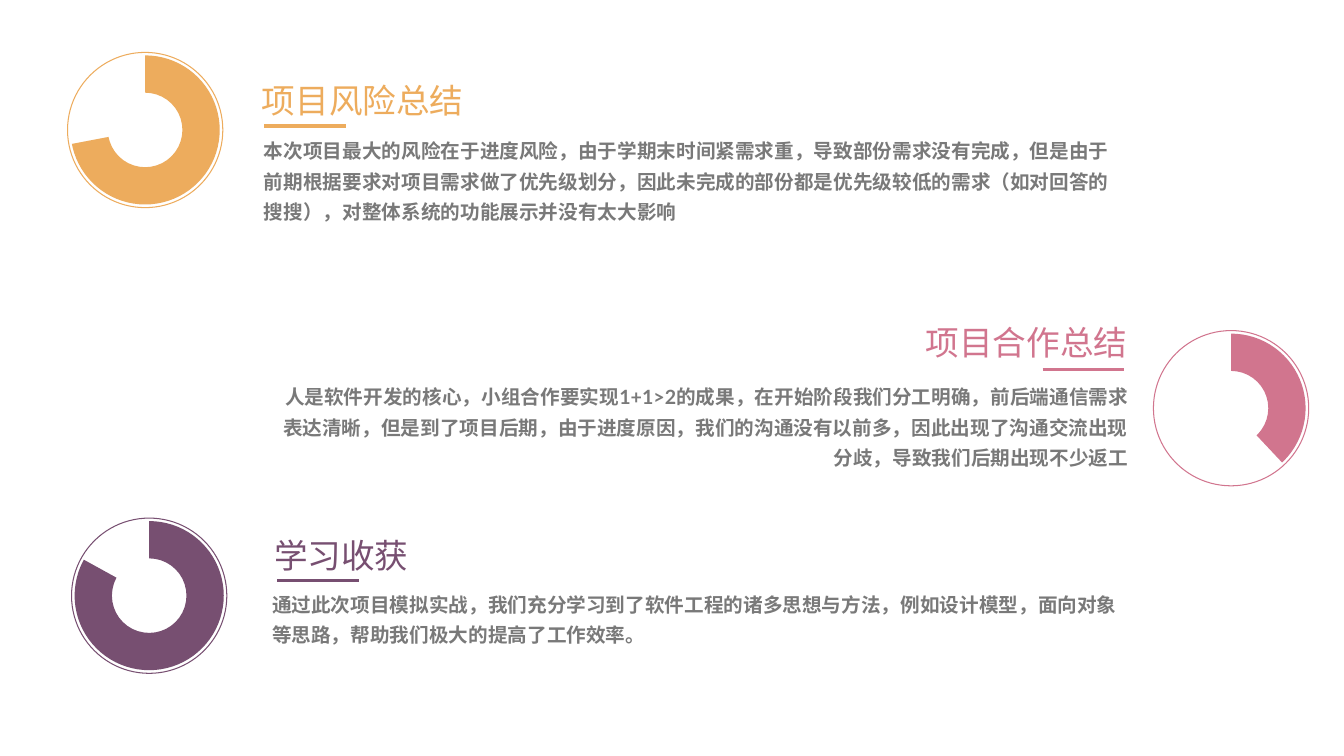
from lxml.etree import SubElement
from pptx import Presentation
from pptx.chart.data import CategoryChartData
from pptx.dml.color import RGBColor
from pptx.enum.chart import XL_CHART_TYPE
from pptx.enum.shapes import MSO_CONNECTOR, MSO_SHAPE
from pptx.enum.text import MSO_AUTO_SIZE, PP_ALIGN
from pptx.oxml import parse_xml
from pptx.oxml.ns import nsdecls, qn
from pptx.util import Inches, Pt

ORANGE = RGBColor(0xED, 0xAC, 0x5D)
PURPLE = RGBColor(0x77, 0x4F, 0x71)
PINK = RGBColor(0xD1, 0x75, 0x8E)
GREY = RGBColor(0x79, 0x79, 0x79)
PALE = RGBColor(0xF2, 0xF2, 0xF2)
LATIN, CHINESE = "Lato", "Noto Sans CJK SC"

CIRCLE = 1.54
RING = 1.48
CHART_WIDTH, CHART_HEIGHT = 2.62, 1.75
RULE_LENGTH = 0.81


def apply(target, values):
    for name, value in values.items():
        setattr(target, name, value)


class SummarySlide:
    heading_style = {"size": Pt(24), "name": CHINESE}
    body_style = {"size": Pt(14), "name": LATIN, "bold": True}

    def __init__(self, deck):
        self.shapes = deck.slides.add_slide(deck.slide_layouts[6]).shapes

    def text(self, box, wording, style, color, paragraph_style):
        frame = self.shapes.add_textbox(*map(Inches, box)).text_frame
        apply(frame, {"word_wrap": True, "auto_size": MSO_AUTO_SIZE.SHAPE_TO_FIT_TEXT})
        paragraph = frame.paragraphs[0]
        apply(paragraph, paragraph_style)
        run = paragraph.add_run()
        run.text = wording
        apply(run.font, style)
        run.font.color.rgb = color
        east_asian = SubElement(run.font._element, qn("a:ea"))
        east_asian.set("typeface", CHINESE)

    def ring(self, left, top, percent, color):
        values = CategoryChartData()
        values.categories = ["1", "2"]
        values.add_series("Series 1", (percent, 100 - percent))
        box = (left - (CHART_WIDTH - CIRCLE) / 2, top - (CHART_HEIGHT - CIRCLE) / 2,
               CHART_WIDTH, CHART_HEIGHT)
        chart = self.shapes.add_chart(
            XL_CHART_TYPE.DOUGHNUT, *map(Inches, box), values).chart
        apply(chart, {"has_legend": False, "has_title": False})
        apply(chart.font, {"size": Pt(10), "name": LATIN})
        chart.font.color.rgb = PALE
        plot = chart.plots[0]
        apply(plot, {"vary_by_categories": False, "has_data_labels": False})
        done, remaining = (plot.series[0].points[i].format for i in range(2))
        done.fill.solid()
        done.fill.fore_color.rgb = color
        remaining.fill.background()
        for part in (done, remaining):
            part.line.fill.background()
        plot._element.find(qn("c:holeSize")).set("val", "80")
        self.center_ring(chart)

    def center_ring(self, chart):
        width, height = RING / CHART_WIDTH, RING / CHART_HEIGHT
        places = {"x": (1 - width) / 2, "y": (1 - height) / 2, "w": width, "h": height}
        sizes = "".join(f'<c:{key} val="{value:.4f}"/>' for key, value in places.items())
        layout = parse_xml(
            f'<c:layout {nsdecls("c")}><c:manualLayout><c:layoutTarget val="inner"/>'
            f'<c:xMode val="edge"/><c:yMode val="edge"/>{sizes}'
            "</c:manualLayout></c:layout>")
        area = chart._chartSpace.chart.plotArea
        for automatic in area.findall(qn("c:layout")):
            area.remove(automatic)
        area.insert(0, layout)

    def circle(self, left, top, color):
        outline = self.shapes.add_shape(
            MSO_SHAPE.OVAL, *map(Inches, (left, top, CIRCLE, CIRCLE)))
        outline.shadow.inherit = False
        outline.fill.background()
        outline.line.color.rgb = color
        outline.line.width = Pt(0.75)

    def rule(self, left, top, color):
        underline = self.shapes.add_connector(
            MSO_CONNECTOR.STRAIGHT,
            *map(Inches, (left, top, left + RULE_LENGTH, top)))
        underline.line.color.rgb = color
        underline.line.width = Pt(2.25)
        SubElement(underline._element.spPr, qn("a:effectLst"))

    def section(self, color, percent, circle, heading, heading_box,
                body, body_box, rule, align):
        self.ring(*circle, percent, color)
        self.circle(*circle, color)
        self.text(heading_box, heading, self.heading_style, color, {"alignment": align})
        self.text(body_box, body, self.body_style, GREY,
                  {"alignment": align, "line_spacing": 1.3})
        self.rule(*rule, color)


SECTIONS = [
    dict(color=ORANGE, percent=72, circle=(0.67, 0.52), align=PP_ALIGN.LEFT,
         heading="项目风险总结", heading_box=(2.5, 0.74, 2.63, 0.5),
         body="本次项目最大的风险在于进度风险，由于学期末时间紧需求重，导致部份需求没有完成，"
              "但是由于前期根据要求对项目需求做了优先级划分，因此未完成的部份都是优先级较低的需求"
              "（如对回答的搜搜），对整体系统的功能展示并没有太大影响",
         body_box=(2.52, 1.26, 8.63, 1), rule=(2.62, 1.25)),
    dict(color=PURPLE, percent=83, circle=(0.71, 5.14), align=PP_ALIGN.LEFT,
         heading="学习收获", heading_box=(2.62, 5.26, 2.63, 0.5),
         body="通过此次项目模拟实战，我们充分学习到了软件工程的诸多思想与方法，"
              "例如设计模型，面向对象等思路，帮助我们极大的提高了工作效率。",
         body_box=(2.6, 5.76, 8.59, 0.69), rule=(2.75, 5.76)),
    dict(color=PINK, percent=38, circle=(11.44, 3.28), align=PP_ALIGN.RIGHT,
         heading="项目合作总结", heading_box=(9, 3.14, 2.28, 0.5),
         body="人是软件开发的核心，小组合作要实现1+1>2的成果，在开始阶段我们分工明确，"
              "前后端通信需求表达清晰，但是到了项目后期，由于进度原因，我们的沟通没有以前多，"
              "因此出现了沟通交流出现分歧，导致我们后期出现不少返工",
         body_box=(2.54, 3.7, 8.75, 1), rule=(10.34, 3.67)),
]


def main():
    deck = Presentation()
    apply(deck, {"slide_width": Inches(13.33), "slide_height": Inches(7.5)})
    summary = SummarySlide(deck)
    for section in SECTIONS:
        summary.section(**section)
    deck.save("out.pptx")


if __name__ == "__main__":
    main()
